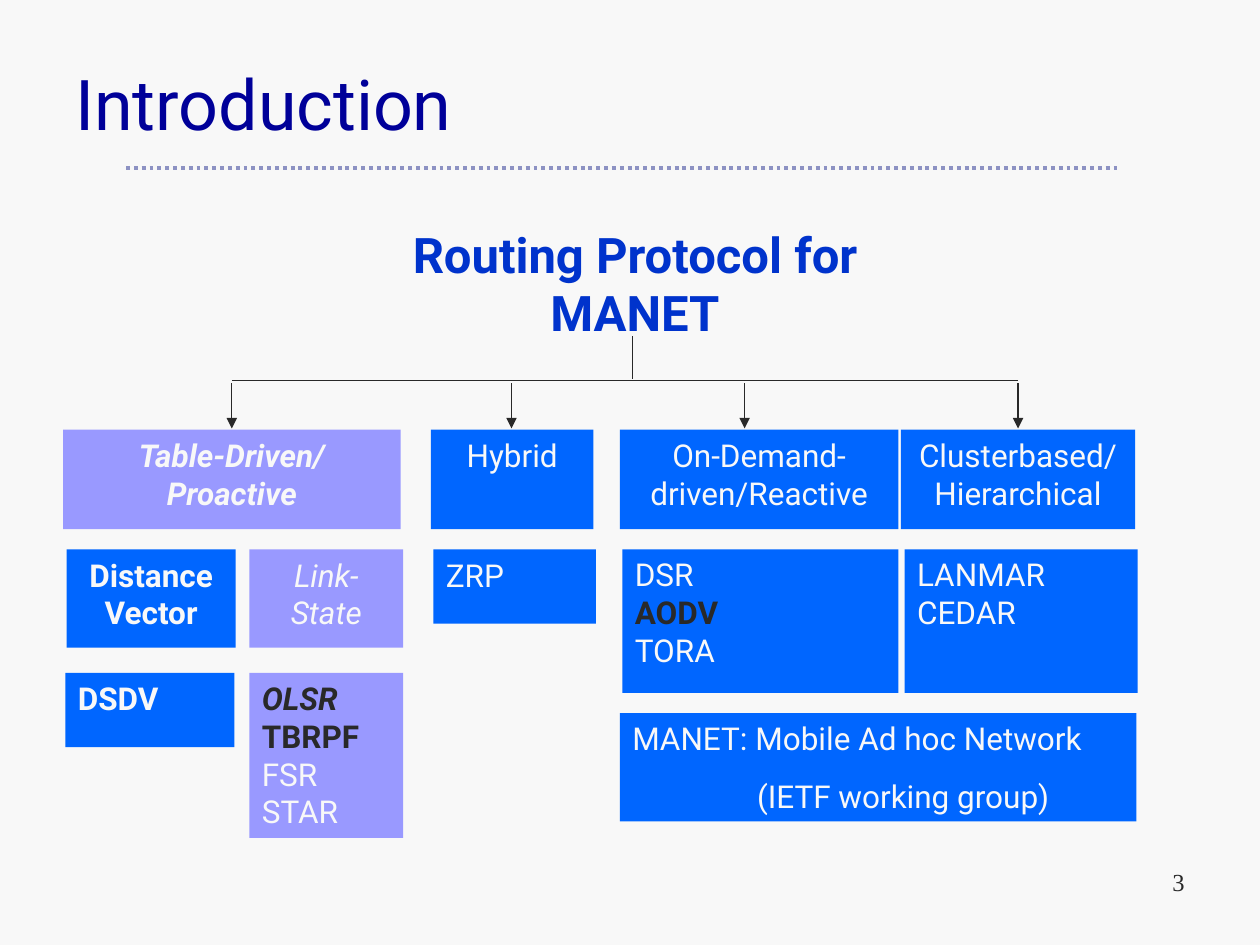
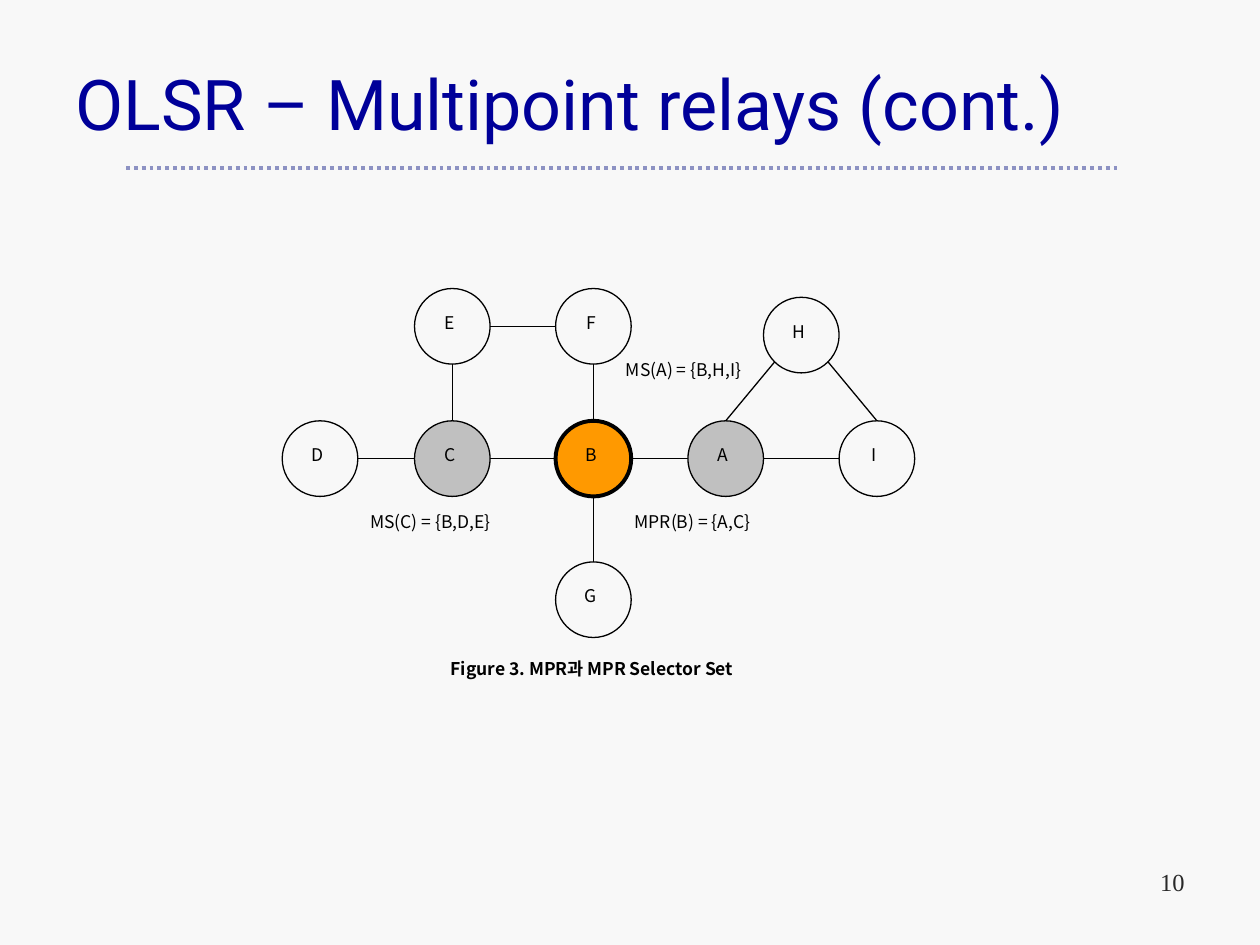
import pptx
import pptx.dml.color
import pptx.enum.dml
import pptx.enum.shapes
import pptx.enum.text
import pptx.oxml.ns
import pptx.util
import lxml.etree

Inches = pptx.util.Inches
Pt = pptx.util.Pt
RGB = pptx.dml.color.RGBColor
KIND = pptx.enum.shapes.MSO_SHAPE
ALIGN = pptx.enum.text.PP_ALIGN
ANCHOR = pptx.enum.text.MSO_ANCHOR
qn = pptx.oxml.ns.qn

PAPER = RGB(0xF8, 0xF8, 0xF8)
NAVY = RGB(0x00, 0x00, 0x99)
ROYAL = RGB(0x00, 0x33, 0xCC)
BLUE = RGB(0x00, 0x66, 0xFF)
LILAC = RGB(0x99, 0x99, 0xFF)
RULE = RGB(0x8D, 0x92, 0xC3)
INK = RGB(0x29, 0x29, 0x29)
BLACK = RGB(0, 0, 0)
GRAY = RGB(0xC0, 0xC0, 0xC0)
ORANGE = RGB(0xFF, 0x99, 0x00)

SANS = "Roboto"
SERIF = "Times New Roman"
KOREAN = "Noto Sans CJK KR"

# Paragraph marks: b bold, i italic, d dark.
HEADS = [
    (0.5, 2.68, LILAC, [("Table-Driven/", "bi"), ("Proactive", "bi")]),
    (3.42, 1.29, BLUE, [("Hybrid", "")]),
    (4.92, 2.21, BLUE, [("On-Demand-driven/Reactive", "")]),
    (7.15, 1.86, BLUE, [("Clusterbased/", ""), ("Hierarchical", "")]),
]
KINDS = [
    (0.53, 1.34, BLUE, [("Distance", "b"), ("Vector", "b")]),
    (1.98, 1.22, LILAC, [("Link-", "i"), ("State", "i")]),
]
LISTS = [
    (3.44, 4.36, 1.29, 0.59, BLUE, [("ZRP", "")]),
    (4.94, 4.36, 2.19, 1.14, BLUE, [("DSR", ""), ("AODV", "bd"), ("TORA", "")]),
    (7.18, 4.36, 1.85, 1.14, BLUE, [("LANMAR", ""), ("CEDAR", "")]),
    (0.52, 5.34, 1.34, 0.59, BLUE, [("DSDV", "b")]),
    (1.98, 5.34, 1.22, 1.31, LILAC,
     [("OLSR", "bid"), ("TBRPF", "bd"), ("FSR", ""), ("STAR", "")]),
]
NOTE = [("MANET: Mobile Ad hoc Network", ""), ("(IETF working group)", "")]
DROPS = [1.84, 4.06, 5.91, 8.08]

SIZE = 0.6
NODES = {
    "E": (3.59, 2.59, None, 0.75),
    "F": (4.71, 2.59, None, 0.75),
    "H": (6.36, 2.66, None, 0.75),
    "D": (2.54, 3.64, None, 0.75),
    "C": (3.59, 3.64, GRAY, 0.75),
    "B": (4.71, 3.64, ORANGE, 2.25),
    "A": (5.76, 3.64, GRAY, 0.75),
    "I": (6.96, 3.64, None, 0.75),
    "G": (4.71, 4.76, None, 0.75),
}
SIDES = {"n": (0, -1), "s": (0, 1), "w": (-1, 0), "e": (1, 0),
         "sw": (-0.7, 0.7), "se": (0.7, 0.7)}
EDGES = [
    ("D", "e", "C", "w"), ("C", "e", "B", "w"), ("B", "e", "A", "w"),
    ("A", "e", "I", "w"), ("E", "e", "F", "w"), ("C", "n", "E", "s"),
    ("F", "s", "B", "n"), ("B", "s", "G", "n"), ("A", "n", "H", "sw"),
    ("H", "se", "I", "n"),
]
LABELS = [
    (4.87, 2.8, 1.74, "MS(A) = {B,H,I}", ""),
    (2.84, 4.01, 2.0, "MS(C) = {B,D,E}", ""),
    (4.94, 4.01, 2.0, "MPR(B) = {A,C}", ""),
    (3.48, 5.17, 3.0, "Figure 3. MPR과 MPR Selector Set", "b"),
]


def write(shape, lines, size, font, color, align=ALIGN.LEFT, anchor=ANCHOR.TOP):
    frame = shape.text_frame
    frame.text = "\n".join(text for text, marks in lines)
    frame.word_wrap = True
    frame.vertical_anchor = anchor
    for para, (text, marks) in zip(frame.paragraphs, lines):
        para.alignment = align
        for run in para.runs:
            run.font.size = Pt(size)
            run.font.bold = "b" in marks
            run.font.italic = "i" in marks
            run.font.color.rgb = INK if "d" in marks else color
            run.font.name = font
            east = lxml.etree.SubElement(run.font._element, qn("a:ea"))
            east.set("typeface", font)
    return frame


def text(slide, x, y, w, h, lines, *style):
    box = slide.shapes.add_textbox(Inches(x), Inches(y), Inches(w), Inches(h))
    return write(box, lines, *style)


def block(slide, kind, x, y, w, h, fill):
    shape = slide.shapes.add_shape(kind, Inches(x), Inches(y), Inches(w), Inches(h))
    shape.shadow.inherit = False
    if fill is None:
        shape.fill.background()
    else:
        shape.fill.solid()
        shape.fill.fore_color.rgb = fill
    return shape


def card(slide, x, y, w, h, fill, lines, align=ALIGN.LEFT):
    shape = block(slide, KIND.RECTANGLE, x, y, w, h, fill)
    shape.line.fill.background()
    return write(shape, lines, 18, SANS, PAPER, align)


def line(slide, start, end, color, width=0.75, arrow=False, dash=None):
    link = slide.shapes.add_connector(
        pptx.enum.shapes.MSO_CONNECTOR.STRAIGHT, *map(Inches, start + end))
    link.line.color.rgb = color
    link.line.width = Pt(width)
    if dash:
        link.line.dash_style = dash
    props = link.element.spPr
    if arrow:
        tail = lxml.etree.SubElement(props.find(qn("a:ln")), qn("a:tailEnd"))
        tail.set("type", "triangle")
    lxml.etree.SubElement(props, qn("a:effectLst"))


def page(deck, title, number):
    slide = deck.slides.add_slide(deck.slide_layouts[6])
    slide.background.fill.solid()
    slide.background.fill.fore_color.rgb = PAPER
    line(slide, (1, 1.33), (8.88, 1.33), RULE, 2.25,
         dash=pptx.enum.dml.MSO_LINE.ROUND_DOT)
    text(slide, 0.5, 0.3, 9, 1.03, [(title, "")], 40, SANS, NAVY,
         ALIGN.LEFT, ANCHOR.MIDDLE)
    text(slide, 7.17, 6.83, 2.33, 0.52, [(number, "")], 14, SERIF, INK, ALIGN.RIGHT)
    return slide


def tree(slide):
    text(slide, 2.82, 1.73, 4.44, 0.76, [("Routing Protocol for MANET", "b")],
         28, SANS, ROYAL, ALIGN.CENTER)
    for x, w, fill, lines in HEADS:
        card(slide, x, 3.41, w, 0.79, fill, lines, ALIGN.CENTER)
    for x, w, fill, lines in KINDS:
        card(slide, x, 4.36, w, 0.78, fill, lines, ALIGN.CENTER)
    for item in LISTS:
        card(slide, *item)
    last = card(slide, 4.92, 5.66, 4.1, 0.86, BLUE, NOTE).paragraphs[-1]
    last.space_before = Pt(11.2)
    last._p.get_or_add_pPr().set("marL", str(Inches(0.99)))
    line(slide, (5.02, 2.67), (5.02, 3.01), INK)
    line(slide, (DROPS[0], 3.02), (DROPS[-1], 3.02), INK)
    for x in DROPS:
        line(slide, (x, 3.04), (x, 3.4), INK, arrow=True)


def port(name, side):
    x, y = NODES[name][:2]
    across, down = SIDES[side]
    return x + across * SIZE / 2, y + down * SIZE / 2


def graph(slide):
    for a, out, b, into in EDGES:
        line(slide, port(a, out), port(b, into), BLACK)
    for name, (x, y, fill, width) in NODES.items():
        node = block(slide, KIND.OVAL, x - SIZE / 2, y - SIZE / 2, SIZE, SIZE, fill)
        node.line.color.rgb = BLACK
        node.line.width = Pt(width)
        frame = write(node, [(name, "")], 10, KOREAN, BLACK,
                      ALIGN.CENTER, ANCHOR.MIDDLE)
        frame.margin_left = frame.margin_top = 0
        frame.margin_right = Inches(0.04)
        frame.margin_bottom = Inches(0.06)
    for x, y, w, words, marks in LABELS:
        text(slide, x, y, w, 0.32, [(words, marks)], 10, KOREAN, BLACK)


def main():
    deck = pptx.Presentation()
    deck.slide_width = Inches(10)
    deck.slide_height = Inches(7.5)
    tree(page(deck, "Introduction", "3"))
    graph(page(deck, "OLSR – Multipoint relays (cont.)", "10"))
    deck.save("out.pptx")


if __name__ == "__main__":
    main()
